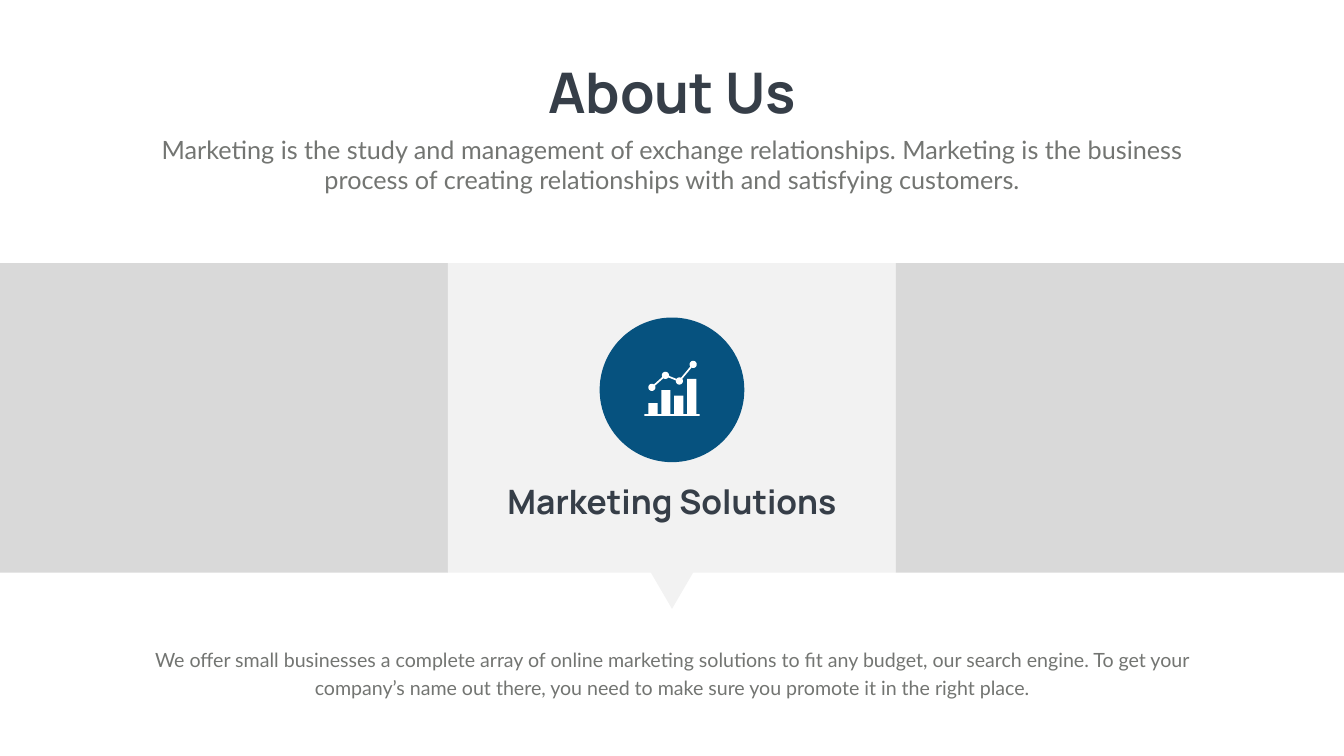
from math import asin, atan2, cos, pi, sin

from pptx import Presentation
from pptx.dml.color import RGBColor
from pptx.enum.shapes import MSO_SHAPE as SHAPE
from pptx.enum.text import MSO_AUTO_SIZE as AUTO, PP_ALIGN as ALIGN
from pptx.util import Pt

THEME = {
    "heading_font": "Manrope", "body_font": "Lato",
    "dark": "363E48", "grey": "737572", "accent": "06527F",
    "side": "D9D9D9", "panel": "F2F2F2", "white": "FFFFFF",
    "title": 80, "subtitle": 36, "label": 48, "body": 28,
}
WIDTH, HEIGHT = 1919.52, 1080
CENTER = WIDTH / 2

HEADING = {"font": THEME["heading_font"], "color": THEME["dark"], "bold": True}
PLAIN = {"font": THEME["body_font"], "color": THEME["grey"], "inset": 3.6}
TEXTS = [  # text, top, width, height, format
    ("About Us", 82.08, 386.64, 104.4,
     {**HEADING, "size": THEME["title"], "wrap": False}),
    ("Marketing is the study and management of exchange relationships. "
     "Marketing is the business process of creating relationships with and "
     "satisfying customers.", 187.92, 1499, 94.32,
     {**PLAIN, "size": THEME["subtitle"]}),
    ("Marketing Solutions", 686.88, 536.4, 65.52,
     {**HEADING, "size": THEME["label"]}),
    ("We offer small businesses a complete array of online marketing solutions "
     "to fit any budget, our search engine. To get your company’s name out "
     "there, you need to make sure you promote it in the right place.",
     914.4, 1498.3, 85.68,
     {**PLAIN, "size": THEME["body"], "spacing": 40.8}),
]

BAND_TOP, BAND_HEIGHT = 375.84, 442.08
PANELS = [THEME["side"], THEME["panel"], THEME["side"]]
POINTER = (76.32, 65.52)
BADGE_TOP, BADGE_SIZE = 453.6, 206.64

BAR_TOPS = [576, 557.3, 565.2, 541.4]
BAR_LEFT, BAR_WIDTH, BAR_STEP = 926, 13.1, 18.45
BASE_LEFT, BASE_TOP, BASE_RIGHT, BASE_BOTTOM = 920.2, 591.6, 999.4, 594.2
DOTS = [(931, 553.4), (950.4, 536.2), (970.3, 544.3), (990, 520.6)]
DOT_RADIUS, LINK_WIDTH, ARC_STEPS = 5.1, 2.4, 20


def paint(sp, color):
    sp.shadow.inherit = False
    sp.fill.solid()
    sp.fill.fore_color.rgb = RGBColor.from_string(color)
    sp.line.fill.background()


def add_shape(shapes, kind, left, top, width, height, color):
    sp = shapes.add_shape(kind, Pt(left), Pt(top), Pt(width), Pt(height))
    paint(sp, color)
    return sp


def add_text(shapes, text, top, width, height, *, font, size, color,
             bold=False, wrap=True, inset=0, spacing=None):
    """Add a text box centred across the slide."""
    box = shapes.add_textbox(Pt(CENTER - width / 2), Pt(top), Pt(width), Pt(height))
    tf = box.text_frame
    tf.word_wrap = wrap
    tf.auto_size = AUTO.SHAPE_TO_FIT_TEXT
    tf.margin_top = tf.margin_bottom = Pt(inset)
    tf.margin_left = tf.margin_right = Pt(2 * inset)
    p = tf.paragraphs[0]
    p.alignment = ALIGN.CENTER
    if spacing:
        p.line_spacing = Pt(spacing)
    r = p.add_run()
    r.text = text
    r.font.name, r.font.size, r.font.bold = font, Pt(size), bold
    r.font.color.rgb = RGBColor.from_string(color)


def add_outline(shapes, points, color):
    start, *rest = [(Pt(x), Pt(y)) for x, y in points]
    builder = shapes.build_freeform(*start)
    builder.add_line_segments(rest, close=True)
    paint(builder.convert_to_shape(), color)


def bar_outline():
    points = [(BASE_LEFT, BASE_BOTTOM), (BASE_LEFT, BASE_TOP)]
    for i, top in enumerate(BAR_TOPS):
        left = BAR_LEFT + i * BAR_STEP
        right = left + BAR_WIDTH
        points += [(left, BASE_TOP), (left, top), (right, top), (right, BASE_TOP)]
    return points + [(BASE_RIGHT, BASE_TOP), (BASE_RIGHT, BASE_BOTTOM)]


def trend_outline():
    """Walk along the dots and back, rounding each dot between its links."""
    tour = DOTS + DOTS[-2:0:-1]
    gap = asin(LINK_WIDTH / 2 / DOT_RADIUS)
    points = []
    for i, (x, y) in enumerate(tour):
        before, after = tour[i - 1], tour[(i + 1) % len(tour)]
        start = atan2(before[1] - y, before[0] - x) + gap
        end = atan2(after[1] - y, after[0] - x) - gap
        sweep = (end - start) % (2 * pi)
        for step in range(ARC_STEPS + 1):
            angle = start + sweep * step / ARC_STEPS
            points.append((x + DOT_RADIUS * cos(angle), y + DOT_RADIUS * sin(angle)))
    return points


def main():
    prs = Presentation()
    prs.slide_width, prs.slide_height = Pt(WIDTH), Pt(HEIGHT)
    s = prs.slides.add_slide(prs.slide_layouts[6])
    shapes = s.shapes

    panel_width = WIDTH / len(PANELS)
    for i, color in enumerate(PANELS):
        add_shape(shapes, SHAPE.RECTANGLE, i * panel_width, BAND_TOP,
                  panel_width, BAND_HEIGHT, color)
    pointer_width, pointer_height = POINTER
    pointer = add_shape(shapes, SHAPE.ISOSCELES_TRIANGLE, CENTER - pointer_width / 2,
                        804.24, pointer_width, pointer_height, THEME["panel"])
    pointer.rotation = 180
    add_shape(shapes, SHAPE.OVAL, CENTER - BADGE_SIZE / 2, BADGE_TOP,
              BADGE_SIZE, BADGE_SIZE, THEME["accent"])

    icon = shapes.add_group_shape().shapes
    for outline in (bar_outline(), trend_outline()):
        add_outline(icon, outline, THEME["white"])

    for text, top, width, height, style in TEXTS:
        add_text(shapes, text, top, width, height, **style)
    prs.save("out.pptx")


if __name__ == "__main__":
    main()
